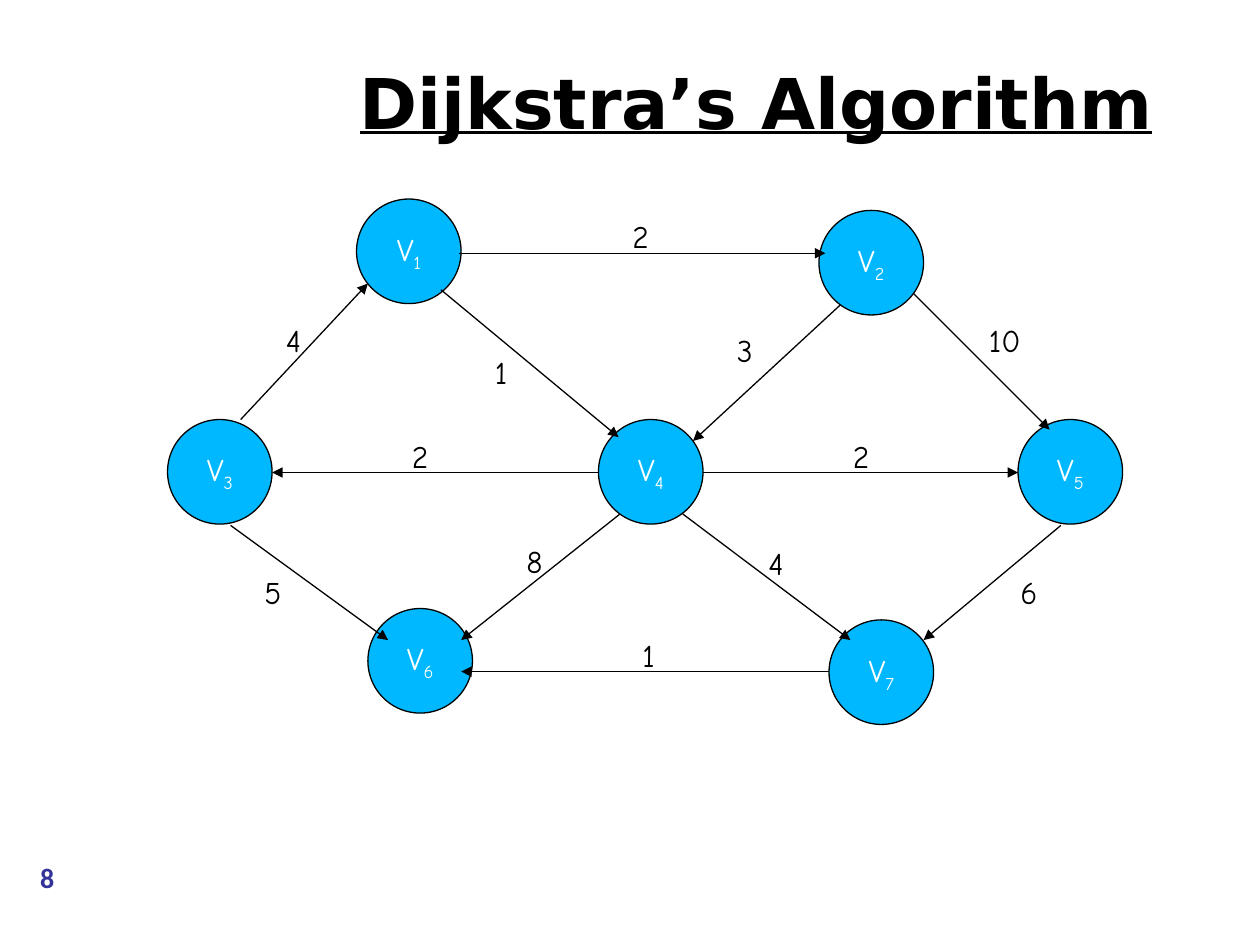
from pptx import Presentation
from pptx.dml.color import RGBColor
from pptx.enum.shapes import MSO_CONNECTOR as Connector, MSO_SHAPE as Shape
from pptx.enum.text import MSO_ANCHOR as Anchor, PP_ALIGN as Align
from pptx.oxml.ns import qn
from pptx.util import Inches, Pt
from lxml.etree import SubElement

COLORS = {"page": "FFFFFF", "node": "00B8FF", "ink": "000000",
          "node_text": "FFFFFF", "number": "333399"}
TITLE_FONT = {"name": "DejaVu Sans", "size": Pt(40), "bold": True, "underline": True}
NUMBER_FONT = {"name": "Calibri", "size": Pt(16), "bold": True}
GRAPH_FONT = {"name": "Comic Neue", "size": Pt(18)}

DIAMETER = 0.83
LABEL_SIZE = (0.75, 0.4)

# Vertex number: left, top within the graph
VERTICES = {1: (1.5, 0), 2: (5.17, 0.09), 3: (0, 1.75), 4: (3.42, 1.75),
            5: (6.75, 1.75), 6: (1.59, 3.25), 7: (5.25, 3.34)}
# Weight, arrow start, arrow end, label corner within the graph
EDGES = [
    ("2", (2.31, 0.43), (5.22, 0.43), (3.59, 0.09)),   # V1 to V2
    ("1", (2.17, 0.72), (3.58, 1.89), (2.5, 1.17)),    # V1 to V4
    ("3", (5.34, 0.84), (4.17, 1.92), (4.42, 1)),      # V2 to V4
    ("10", (5.92, 0.75), (7, 1.83), (6.42, 0.92)),     # V2 to V5
    ("4", (0.58, 1.75), (1.59, 0.67), (0.84, 0.92)),   # V3 to V1
    ("5", (0.5, 2.59), (1.75, 3.5), (0.67, 2.92)),     # V3 to V6
    ("2", (3.42, 2.17), (0.83, 2.17), (1.84, 1.84)),   # V4 to V3
    ("2", (4.25, 2.17), (6.75, 2.17), (5.34, 1.84)),   # V4 to V5
    ("8", (3.59, 2.5), (2.33, 3.5), (2.75, 2.67)),     # V4 to V6
    ("4", (4.09, 2.5), (5.42, 3.5), (4.67, 2.69)),     # V4 to V7
    ("6", (7.09, 2.59), (6, 3.5), (6.67, 2.92)),       # V5 to V7
    ("1", (5.25, 3.75), (2.33, 3.75), (3.67, 3.42)),   # V7 to V6
]


def rgb(name):
    return RGBColor.from_string(COLORS[name])


def add_run(paragraph, text, font, color):
    run = paragraph.add_run()
    run.text = text
    for attribute, value in font.items():
        setattr(run.font, attribute, value)
    run.font.color.rgb = rgb(color)
    return run


def add_circle(slide, box, fill, line, width):
    circle = slide.shapes.add_shape(Shape.OVAL, *map(Inches, box))
    circle.shadow.inherit = False
    circle.fill.solid()
    circle.fill.fore_color.rgb = rgb(fill)
    circle.line.color.rgb = rgb(line)
    circle.line.width = Pt(width)
    frame = circle.text_frame
    frame.vertical_anchor = Anchor.MIDDLE
    frame.word_wrap = False
    frame.paragraphs[0].alignment = Align.CENTER
    return frame


def add_title(slide, box):
    frame = slide.shapes.add_textbox(*map(Inches, box)).text_frame
    frame.word_wrap = True
    frame.vertical_anchor = Anchor.MIDDLE
    heading = frame.paragraphs[0]
    heading.alignment = Align.CENTER
    properties = heading._p.get_or_add_pPr()
    properties.set("marL", str(Inches(2.25)))
    properties.set("indent", str(Inches(-0.25)))
    add_run(heading, "Dijkstra’s Algorithm", TITLE_FONT, "ink")


def add_slide_number(slide, box):
    frame = add_circle(slide, box, "page", "page", 2)
    for side in ("left", "top", "right", "bottom"):
        setattr(frame, f"margin_{side}", 0)
    add_run(frame.paragraphs[0], "8", NUMBER_FONT, "number")


def add_vertex(slide, number, left, top):
    frame = add_circle(slide, (left, top, DIAMETER, DIAMETER), "node", "ink", 0.75)
    name = frame.paragraphs[0]
    add_run(name, "V", GRAPH_FONT, "node_text")
    index = add_run(name, str(number), GRAPH_FONT, "node_text")
    index._r.get_or_add_rPr().set("baseline", "-25000")


def add_arrow(slide, start, end):
    arrow = slide.shapes.add_connector(Connector.STRAIGHT, *map(Inches, start + end))
    arrow.line.color.rgb = rgb("ink")
    arrow.line.width = Pt(0.75)
    SubElement(arrow.line._get_or_add_ln(), qn("a:tailEnd"), type="triangle")
    SubElement(arrow._element.spPr, qn("a:effectLst"))


def add_weight(slide, weight, corner):
    frame = slide.shapes.add_textbox(*map(Inches, corner + LABEL_SIZE)).text_frame
    frame.word_wrap = True
    add_run(frame.paragraphs[0], weight, GRAPH_FONT, "ink")


def add_graph(slide, left, top):
    def place(point):
        return left + point[0], top + point[1]

    for number, corner in VERTICES.items():
        add_vertex(slide, number, *place(corner))
    for weight, start, end, label in EDGES:
        add_arrow(slide, place(start), place(end))
        add_weight(slide, weight, place(label))


def main():
    deck = Presentation()
    deck.slide_width, deck.slide_height = Inches(10), Inches(7.5)
    slide = deck.slides.add_slide(deck.slide_layouts[6])
    add_slide_number(slide, (0, 6.8, 0.75, 0.33))
    add_title(slide, (0.5, 0.21, 9, 1.19))
    add_graph(slide, 1.33, 1.58)
    deck.save("out.pptx")


if __name__ == "__main__":
    main()
